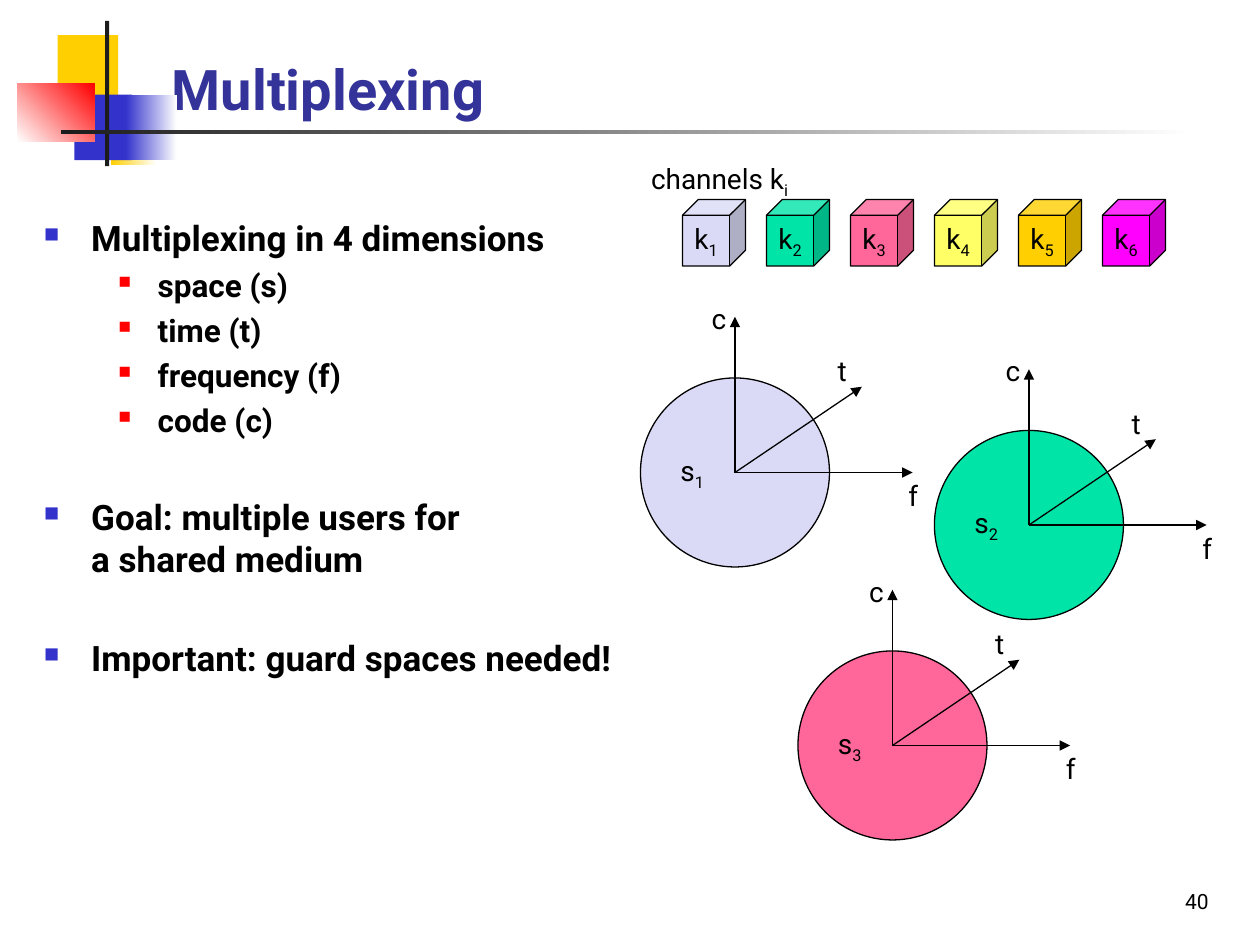
from lxml import etree
from pptx import Presentation
from pptx.dml.color import RGBColor
from pptx.enum.shapes import MSO_CONNECTOR, MSO_SHAPE
from pptx.enum.text import MSO_ANCHOR, MSO_AUTO_SIZE, PP_ALIGN
from pptx.oxml.ns import qn
from pptx.util import Pt

RECT, OVAL, CUBE = MSO_SHAPE.RECTANGLE, MSO_SHAPE.OVAL, MSO_SHAPE.CUBE
STRAIGHT = MSO_CONNECTOR.STRAIGHT
LEFT, CENTER = PP_ALIGN.LEFT, PP_ALIGN.CENTER
TOP, MIDDLE, BOTTOM = MSO_ANCHOR.TOP, MSO_ANCHOR.MIDDLE, MSO_ANCHOR.BOTTOM
NO_FIT, FIT_SHAPE = MSO_AUTO_SIZE.NONE, MSO_AUTO_SIZE.SHAPE_TO_FIT_TEXT

FONT = "Roboto"
COLORS = {
    "black": "000000", "white": "FFFFFF", "ink": "1C1C1C", "title": "333399",
    "blue": "3333CC", "red": "FF0000", "gold": "FFCF01", "lavender": "DADAF6",
    "green": "00E4A8", "pink": "FF6699", "yellow": "FFFF66", "magenta": "FF00FF",
}
CHANNELS = ["lavender", "green", "pink", "yellow", "gold", "magenta"]
SPACES = [("lavender", 366, 216), ("green", 534, 246), ("pink", 456, 372)]
BULLETS = [
    (0, "Multiplexing in 4 dimensions", 0),
    (1, "space (s)", 4.2),
    (1, "time (t)", 4.2),
    (1, "frequency (f)", 4.2),
    (1, "code (c)", 4.2),
    (0, "Goal: multiple users for\na shared medium", 32.6),
    (0, "Important: guard spaces needed!", 32.6),
]
LEVELS = [
    {"size": 20, "margin": 27, "indent": -27, "color": "blue", "scale": 60},
    {"size": 18, "margin": 65, "indent": -22.5, "color": "red", "scale": 55},
]


def rgb(name):
    """Return the named colour."""
    return RGBColor.from_string(COLORS[name])


def add_text(p, text, sub="", size=16, color="black", bold=False, align=LEFT):
    """Write formatted text, with an optional subscript, into a paragraph."""
    p.alignment = align
    for i, line in enumerate(text.split("\n")):
        if i:
            p.add_line_break()
        p.add_run().text = line
    if sub:
        r = p.add_run()
        r.text = sub
        r.font._element.set("baseline", "-25000")
    for r in p.runs:
        r.font.name, r.font.size, r.font.bold = FONT, Pt(size), bold
        r.font.color.rgb = rgb(color)


def add_box(s, x, y, w, h, wrap=True):
    """Add a text box and return its text frame."""
    tf = s.shapes.add_textbox(Pt(x), Pt(y), Pt(w), Pt(h)).text_frame
    tf.word_wrap = wrap
    tf.auto_size = NO_FIT if wrap else FIT_SHAPE
    return tf


def add_label(s, x, y, w, text, sub=""):
    """Add a one-line label."""
    add_text(add_box(s, x, y, w, 26.6, wrap=False).paragraphs[0], text, sub)


def add_filled(s, kind, x, y, w, h, start, end=None, angle=0, outline=False):
    """Add a shape with a plain or two-colour fill."""
    sp = s.shapes.add_shape(kind, Pt(x), Pt(y), Pt(w), Pt(h))
    sp.shadow.inherit = False
    if end:
        sp.fill.gradient()
        sp.fill.gradient_angle = angle
        for stop, name in zip(sp.fill.gradient_stops, (start, end)):
            stop.color.rgb = rgb(name)
    else:
        sp.fill.solid()
        sp.fill.fore_color.rgb = rgb(start)
    if outline:
        sp.line.color.rgb = rgb("black")
        sp.line.width = Pt(0.75)
    else:
        sp.line.fill.background()
    return sp


def add_symbol(s, kind, x, y, w, h, color, letter, number, align):
    """Add an outlined shape that holds a letter with a subscript number."""
    sp = add_filled(s, kind, x, y, w, h, color, outline=True)
    tf = sp.text_frame
    tf.word_wrap = False
    tf.vertical_anchor = MIDDLE
    add_text(tf.paragraphs[0], letter, str(number), align=align)


def add_arrow(s, x1, y1, x2, y2):
    """Add a thin line with an arrowhead at its end."""
    line = s.shapes.add_connector(STRAIGHT, Pt(x1), Pt(y1), Pt(x2), Pt(y2))
    line.line.color.rgb = rgb("black")
    line.line.width = Pt(0.75)
    etree.SubElement(line.line._get_or_add_ln(), qn("a:tailEnd"), type="triangle")
    etree.SubElement(line._element.spPr, qn("a:effectLst"))


def add_bullet(p, color, scale, margin, indent):
    """Give a paragraph a square bullet and a hanging indent."""
    pPr = p._p.get_or_add_pPr()
    pPr.set("marL", str(Pt(margin)))
    pPr.set("indent", str(Pt(indent)))
    clr = etree.SubElement(pPr, qn("a:buClr"))
    etree.SubElement(clr, qn("a:srgbClr"), val=COLORS[color])
    etree.SubElement(pPr, qn("a:buSzPct"), val=str(scale * 1000))
    etree.SubElement(pPr, qn("a:buChar"), char="■")


def draw_ornament(s, x, y):
    """Draw the overlapping squares and the rules beside the title."""
    add_filled(s, RECT, x + 23, y + 8, 34.5, 37.5, "gold")
    add_filled(s, RECT, x + 53.5, y + 45, 26, 37.5, "gold", "white")
    add_filled(s, RECT, x + 32.5, y + 42, 33, 37.5, "blue")
    add_filled(s, RECT, x + 62, y + 42, 29, 37.5, "blue", "white")
    add_filled(s, RECT, x, y + 36, 44, 33, "white", "red", angle=45)
    add_filled(s, RECT, x + 50, y, 2.4, 83, "ink")
    add_filled(s, RECT, x + 25, y + 62, 648, 2.4, "ink", "white")


def draw_title(s, x, y, w, h):
    """Place and format the title."""
    sp = s.shapes.title
    sp.left, sp.top, sp.width, sp.height = Pt(x), Pt(y), Pt(w), Pt(h)
    tf = sp.text_frame
    tf.auto_size = NO_FIT
    tf.vertical_anchor = BOTTOM
    add_text(tf.paragraphs[0], "Multiplexing", size=32, color="title", bold=True)


def draw_bullets(s, x, y, w, h):
    """Write the two-level bullet list."""
    tf = add_box(s, x, y, w, h)
    tf.vertical_anchor = TOP
    for i, (level, text, before) in enumerate(BULLETS):
        p = tf.add_paragraph() if i else tf.paragraphs[0]
        style = LEVELS[level]
        p.level = level
        p.space_before = Pt(before)
        add_text(p, text, size=style["size"], bold=True)
        add_bullet(p, style["color"], style["scale"], style["margin"], style["indent"])


def draw_channels(s, x, y):
    """Draw the heading and the row of channel cubes."""
    add_label(s, x, y, 93.6, "channels k", "i")
    for i, color in enumerate(CHANNELS):
        add_symbol(s, CUBE, x + 25 + 48 * i, y + 25.4, 36, 38, color, "k", i + 1, CENTER)


def draw_space(s, x, y, d, color, number):
    """Draw one space as a circle with its c, t and f axes."""
    add_symbol(s, OVAL, x, y, d, d, color, "s", number, LEFT)
    cx, cy = x + d / 2, y + d / 2
    for dx, dy in [(72.5, -49), (0, -89), (101.5, 0)]:
        add_arrow(s, cx, cy, cx + dx, cy + dy)
    for text, dx, dy, w in [("f", 92, 0, 19), ("t", 51.6, -71.3, 19), ("c", -20.4, -101.3, 22)]:
        add_label(s, cx + dx, cy + dy, w, text)


def main():
    """Build the slide and save it."""
    prs = Presentation()
    prs.slide_width, prs.slide_height = Pt(720), Pt(540)
    s = prs.slides.add_slide(prs.slide_layouts[5])
    draw_ornament(s, 10, 12)
    draw_title(s, 91, 13, 613, 60)
    draw_bullets(s, 18, 120, 672, 414)
    draw_channels(s, 365, 88.6)
    for i, (color, x, y) in enumerate(SPACES):
        draw_space(s, x, y, 108, color, i + 1)
    add_text(add_box(s, 648, 504, 72, 36).paragraphs[0], "40", size=12, align=CENTER)
    prs.save("out.pptx")


if __name__ == "__main__":
    main()
